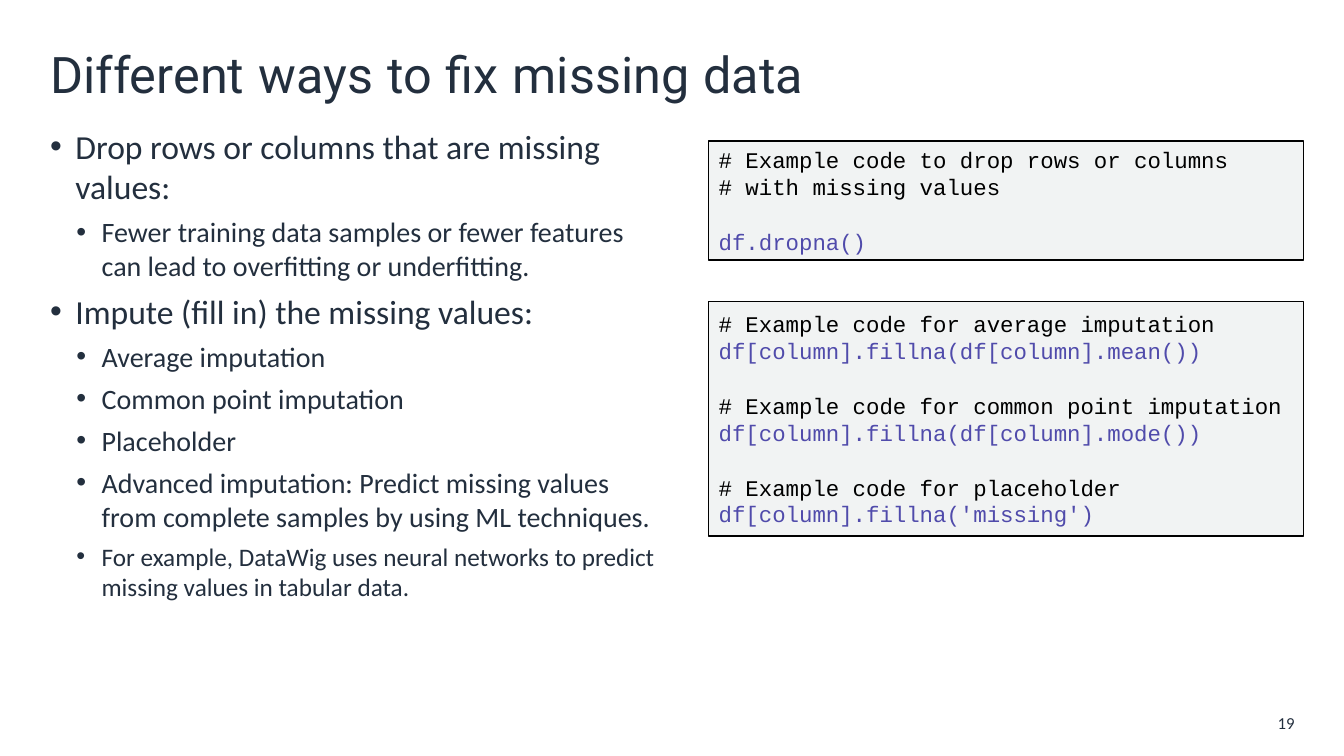
from pptx import Presentation
from pptx.dml.color import RGBColor
from pptx.enum.shapes import MSO_SHAPE
from pptx.enum.text import MSO_ANCHOR, PP_ALIGN
from pptx.oxml import parse_xml
from pptx.oxml.ns import nsdecls
from pptx.util import Inches, Pt

RECTANGLE = MSO_SHAPE.RECTANGLE
TOP, MIDDLE = MSO_ANCHOR.TOP, MSO_ANCHOR.MIDDLE
LEFT, RIGHT = PP_ALIGN.LEFT, PP_ALIGN.RIGHT
INK, BLACK, CODE, PANEL = "232F3E", "000000", "504BAB", "F1F3F3"

TITLE = "Different ways to fix missing data"
POINTS = [
    (0, 24, "Drop rows or columns that are missing values:"),
    (1, 20, "Fewer training data samples or fewer features can lead to overfitting or underfitting."),
    (0, 24, "Impute (fill in) the missing values:"),
    (1, 20, "Average imputation"),
    (1, 20, "Common point imputation"),
    (1, 20, "Placeholder"),
    (1, 20, "Advanced imputation: Predict missing values from complete samples by using ML techniques."),
    (1, 18, "For example, DataWig uses neural networks to predict missing values in tabular data."),
]
DROP_CODE = [
    ["# Example code to drop rows or columns", "# with missing values"],
    ["df.dropna()"],
]
IMPUTE_CODE = [
    ["# Example code for average imputation", "df[column].fillna(df[column].mean())"],
    ["# Example code for common point imputation", "df[column].fillna(df[column].mode())"],
    ["# Example code for placeholder", "df[column].fillna('missing')"],
]


def color(value):
    """Return the colour for a hex string."""
    return RGBColor.from_string(value)


def add_run(paragraph, text, font, size, ink):
    """Append one styled run."""
    run = paragraph.add_run()
    run.text = text
    run.font.name = font
    run.font.size = Pt(size)
    run.font.color.rgb = color(ink)


def next_paragraph(frame, index):
    """Return the first paragraph for index 0, otherwise a new one."""
    return frame.add_paragraph() if index else frame.paragraphs[0]


def add_text_frame(slide, box, anchor):
    """Add a wrapping text box and return its frame."""
    frame = slide.shapes.add_textbox(*map(Inches, box)).text_frame
    frame.word_wrap = True
    frame.vertical_anchor = anchor
    return frame


def add_title(slide, text):
    """Add the heading, whose spaces are larger than its words."""
    heading = add_text_frame(slide, (0.4, 0.33, 12.54, 0.8), MIDDLE).paragraphs[0]
    heading.line_spacing = 0.9
    for index, word in enumerate(text.split()):
        if index:
            add_run(heading, " ", "Calibri", 44, INK)
        add_run(heading, word, "Roboto", 36, INK)


def add_points(slide, points):
    """Add the two-level bulleted list."""
    frame = add_text_frame(slide, (0.4, 1.2, 6.2, 5.83), TOP)
    for index, (level, size, text) in enumerate(points):
        point = next_paragraph(frame, index)
        point.level = level
        point.space_after = Pt(6)
        properties = point._p.get_or_add_pPr()
        properties.set("marL", str(Inches((0.25, 0.51)[level])))
        properties.set("indent", str(Inches(-0.25)))
        properties.append(parse_xml(f'<a:buFont {nsdecls("a")} typeface="Arial"/>'))
        properties.append(parse_xml(f'<a:buChar {nsdecls("a")} char="•"/>'))
        add_run(point, text, "Calibri", size, INK)


def add_code_panel(slide, top, height, blocks):
    """Add a code panel with a one-line gap between its blocks."""
    panel = slide.shapes.add_shape(
        RECTANGLE, Inches(7.03), Inches(top), Inches(5.9), Inches(height))
    panel.shadow.inherit = False
    panel.fill.solid()
    panel.fill.fore_color.rgb = color(PANEL)
    panel.line.color.rgb = color(BLACK)
    panel.line.width = Pt(1)
    frame = panel.text_frame
    frame.word_wrap = True
    frame.vertical_anchor = MIDDLE
    lines = [(row, text) for block in blocks for row, text in enumerate(block)]
    for index, (row, text) in enumerate(lines):
        line = next_paragraph(frame, index)
        line.alignment = LEFT
        if index and row == 0:
            line.space_before = Pt(20)
        add_run(line, text, "Courier New", 16, BLACK if text.startswith("#") else CODE)


def add_page_number(slide, number):
    """Add the page number at the lower right."""
    page = add_text_frame(slide, (12.41, 7.05, 0.53, 0.25), MIDDLE).paragraphs[0]
    page.alignment = RIGHT
    add_run(page, number, "Calibri", 12, INK)


def main():
    """Build and save the slide."""
    deck = Presentation()
    deck.slide_width, deck.slide_height = Inches(13.33), Inches(7.5)
    slide = deck.slides.add_slide(deck.slide_layouts[6])
    add_page_number(slide, "19")
    add_title(slide, TITLE)
    add_points(slide, POINTS)
    add_code_panel(slide, 1.4, 1.18, DROP_CODE)
    add_code_panel(slide, 2.99, 2.33, IMPUTE_CODE)
    deck.save("out.pptx")


if __name__ == "__main__":
    main()
